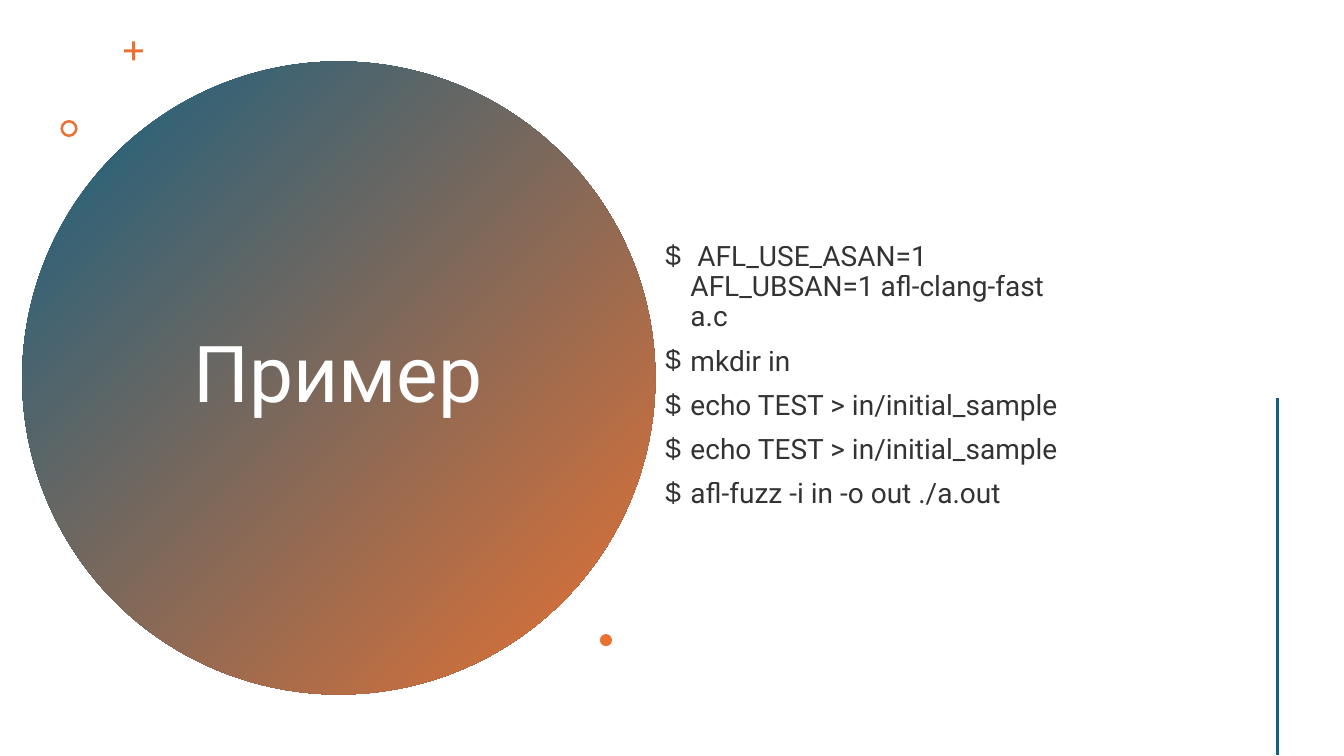
from dataclasses import dataclass

from lxml import etree
from pptx import Presentation
from pptx.dml.color import RGBColor
from pptx.enum.shapes import MSO_CONNECTOR, MSO_SHAPE
from pptx.enum.text import MSO_ANCHOR, PP_ALIGN
from pptx.oxml.ns import qn
from pptx.util import Inches, Pt

OVAL, DONUT, CROSS = MSO_SHAPE.OVAL, MSO_SHAPE.DONUT, MSO_SHAPE.CROSS
STRAIGHT = MSO_CONNECTOR.STRAIGHT
MIDDLE, CENTER = MSO_ANCHOR.MIDDLE, PP_ALIGN.CENTER


@dataclass(frozen=True)
class Theme:
    """Colours, font and type sizes of the slide."""
    blue: RGBColor = RGBColor(0x15, 0x60, 0x82)
    orange: RGBColor = RGBColor(0xE9, 0x71, 0x32)
    white: RGBColor = RGBColor(0xFF, 0xFF, 0xFF)
    black: RGBColor = RGBColor(0, 0, 0)
    font: str = "Roboto"
    title: int = 56
    body: int = 20


THEME = Theme()
STEPS = [
    " AFL_USE_ASAN=1 AFL_UBSAN=1 afl-clang-fast a.c",
    "mkdir in",
    "echo TEST > in/initial_sample",
    "echo TEST > in/initial_sample",
    "afl-fuzz -i in -o out ./a.out",
]


def add_mark(slide, kind, left, top, size, adjust=None):
    """Add a square orange shape without outline or shadow."""
    mark = slide.shapes.add_shape(
        kind, Inches(left), Inches(top), Inches(size), Inches(size))
    mark.shadow.inherit = False
    mark.fill.solid()
    mark.fill.fore_color.rgb = THEME.orange
    mark.line.fill.background()
    if adjust is not None:
        mark.adjustments[0] = adjust
    return mark


def add_disc(slide, left, top, size):
    """Add the large disc that fades from blue to orange."""
    fill = add_mark(slide, OVAL, left, top, size).fill
    fill.gradient()
    fill.gradient_angle = 315
    for stop, color in zip(fill.gradient_stops, (THEME.blue, THEME.orange)):
        stop.color.rgb = color


def add_text(slide, left, top, width, height, lines, size, color):
    """Add a wrapped, middle-anchored text box and return its frame."""
    box = slide.shapes.add_textbox(
        Inches(left), Inches(top), Inches(width), Inches(height))
    frame = box.text_frame
    frame.word_wrap = True
    frame.vertical_anchor = MIDDLE
    frame.text = "\n".join(lines)
    for para in frame.paragraphs:
        para.line_spacing = 0.9
        for run in para.runs:
            run.font.name = THEME.font
            run.font.size = Pt(size)
            run.font.color.rgb = color
    return frame


def add_prompt(para):
    """Give a paragraph a dollar bullet and a hanging indent."""
    para.space_before = Pt(10)
    props = para._p.get_or_add_pPr()
    props.set("marL", str(Inches(0.25)))
    props.set("indent", str(-Inches(0.25)))
    etree.SubElement(props, qn("a:buFont")).set("typeface", "Arial")
    etree.SubElement(props, qn("a:buChar")).set("char", "$")


def add_steps(slide):
    """Add the list of shell commands in softened black."""
    frame = add_text(
        slide, 6.5, 0.76, 4.35, 6.38, STEPS, THEME.body, THEME.black)
    frame.margin_bottom = Inches(0.49)
    for para in frame.paragraphs:
        add_prompt(para)
        for color in para._p.iter(qn("a:srgbClr")):
            etree.SubElement(color, qn("a:alpha")).set("val", "80000")


def add_rule(slide, left, top, bottom):
    """Add the vertical blue rule."""
    rule = slide.shapes.add_connector(
        STRAIGHT, Inches(left), Inches(top), Inches(left), Inches(bottom))
    rule.line.color.rgb = THEME.blue
    rule.line.width = Pt(2)
    etree.SubElement(rule._element.spPr, qn("a:effectLst"))


def main():
    """Build the slide and save it."""
    deck = Presentation()
    deck.slide_width, deck.slide_height = Inches(13.33), Inches(7.5)
    slide = deck.slides.add_slide(deck.slide_layouts[6])
    add_disc(slide, 0.22, 0.61, 6.28)
    title = add_text(
        slide, 1.36, 1.41, 3.99, 4.67, ["Пример"], THEME.title, THEME.white)
    title.paragraphs[0].alignment = CENTER
    add_mark(slide, CROSS, 1.23, 0.41, 0.19, 0.42)
    add_mark(slide, DONUT, 0.6, 1.19, 0.17, 0.15)
    add_steps(slide)
    add_mark(slide, OVAL, 5.95, 6.29, 0.12)
    add_rule(slide, 12.67, 3.95, 7.49)
    deck.save("out.pptx")


if __name__ == "__main__":
    main()
